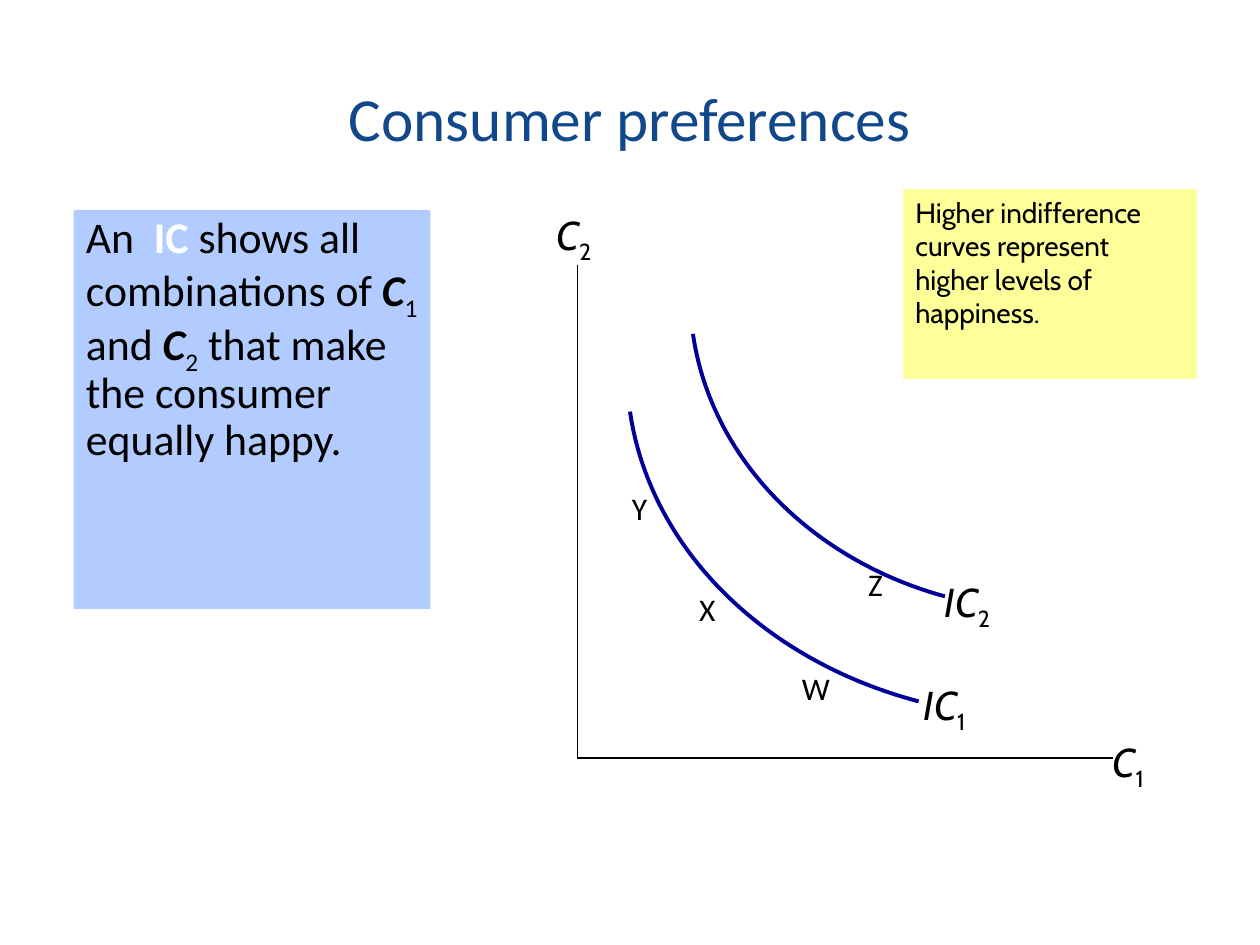
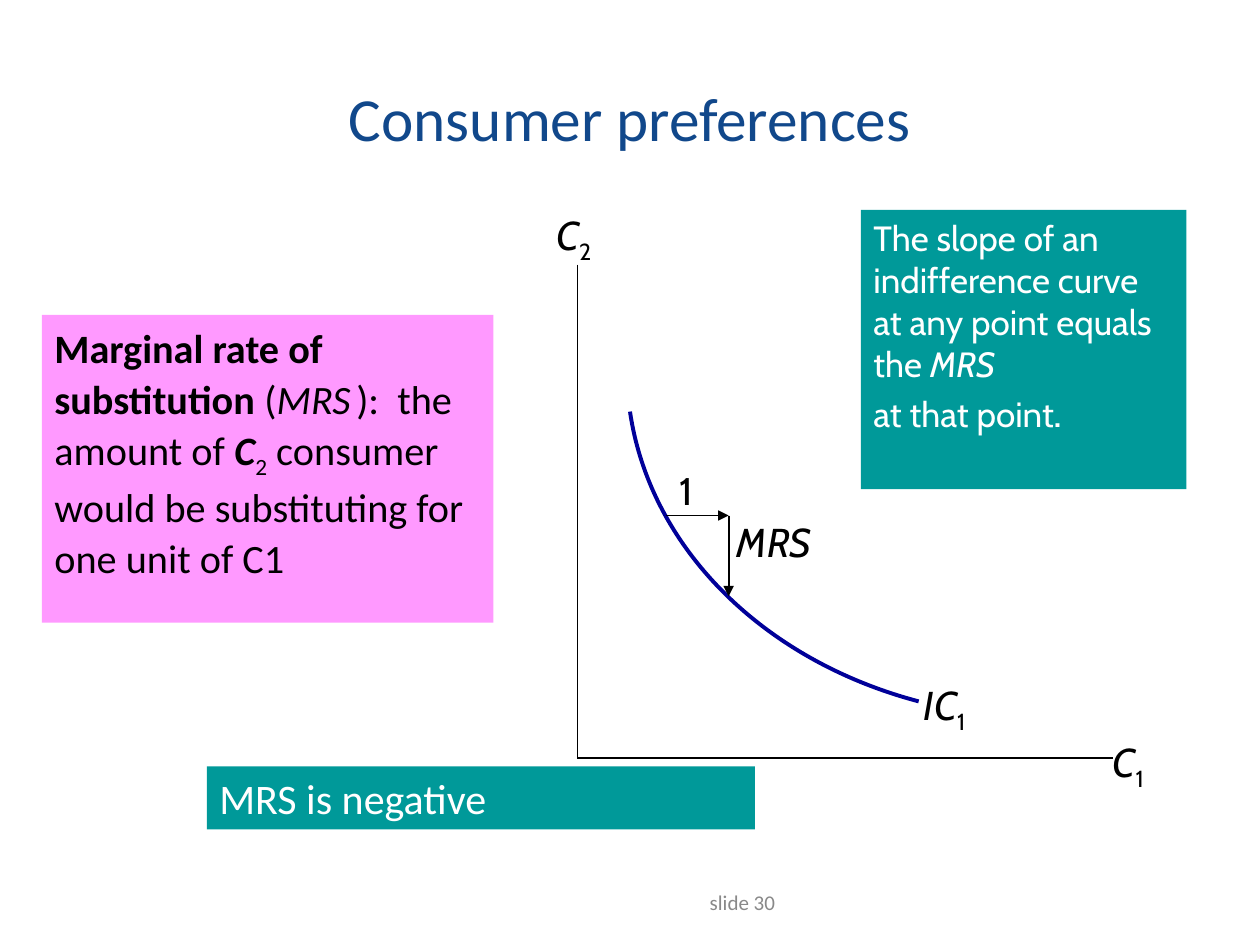
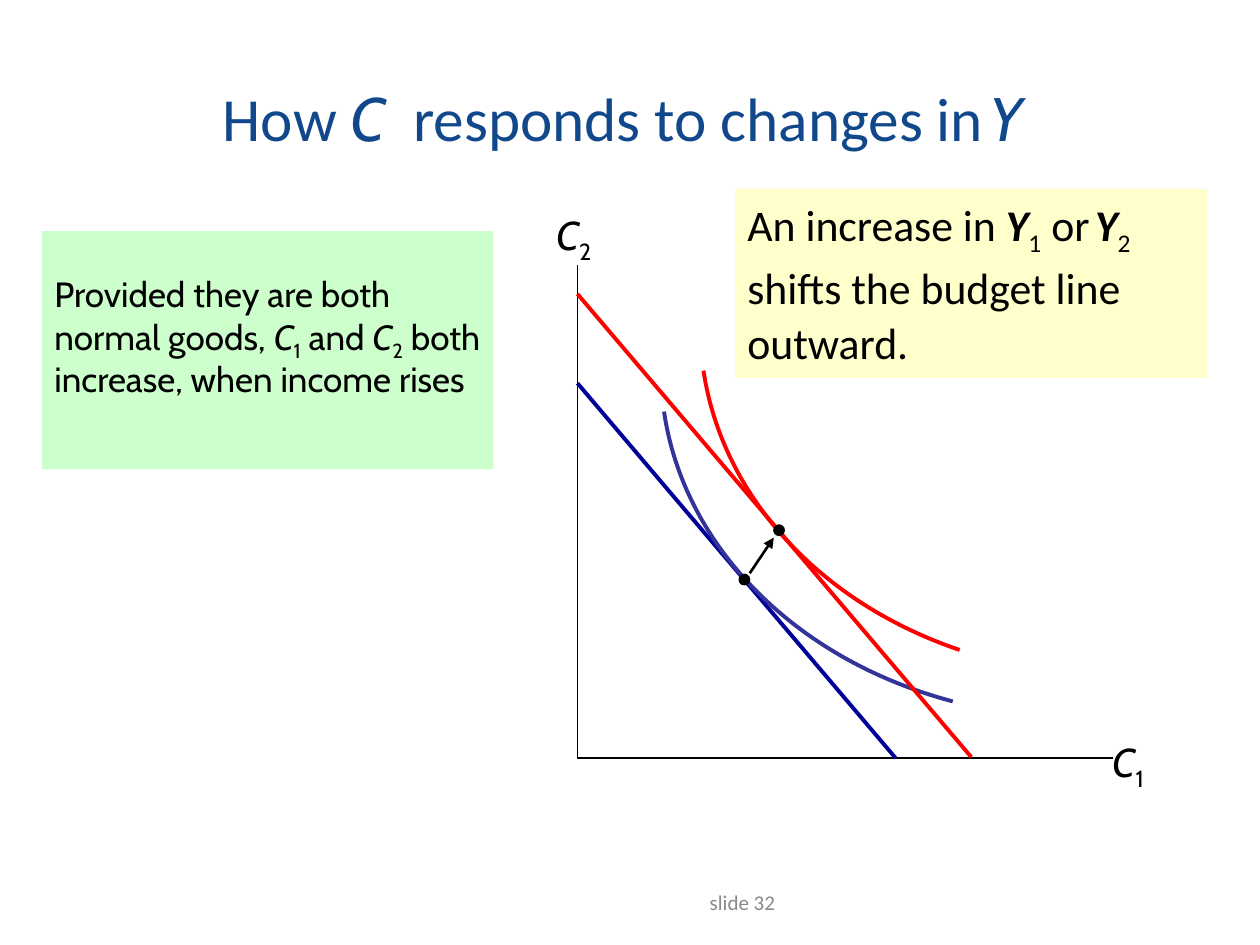
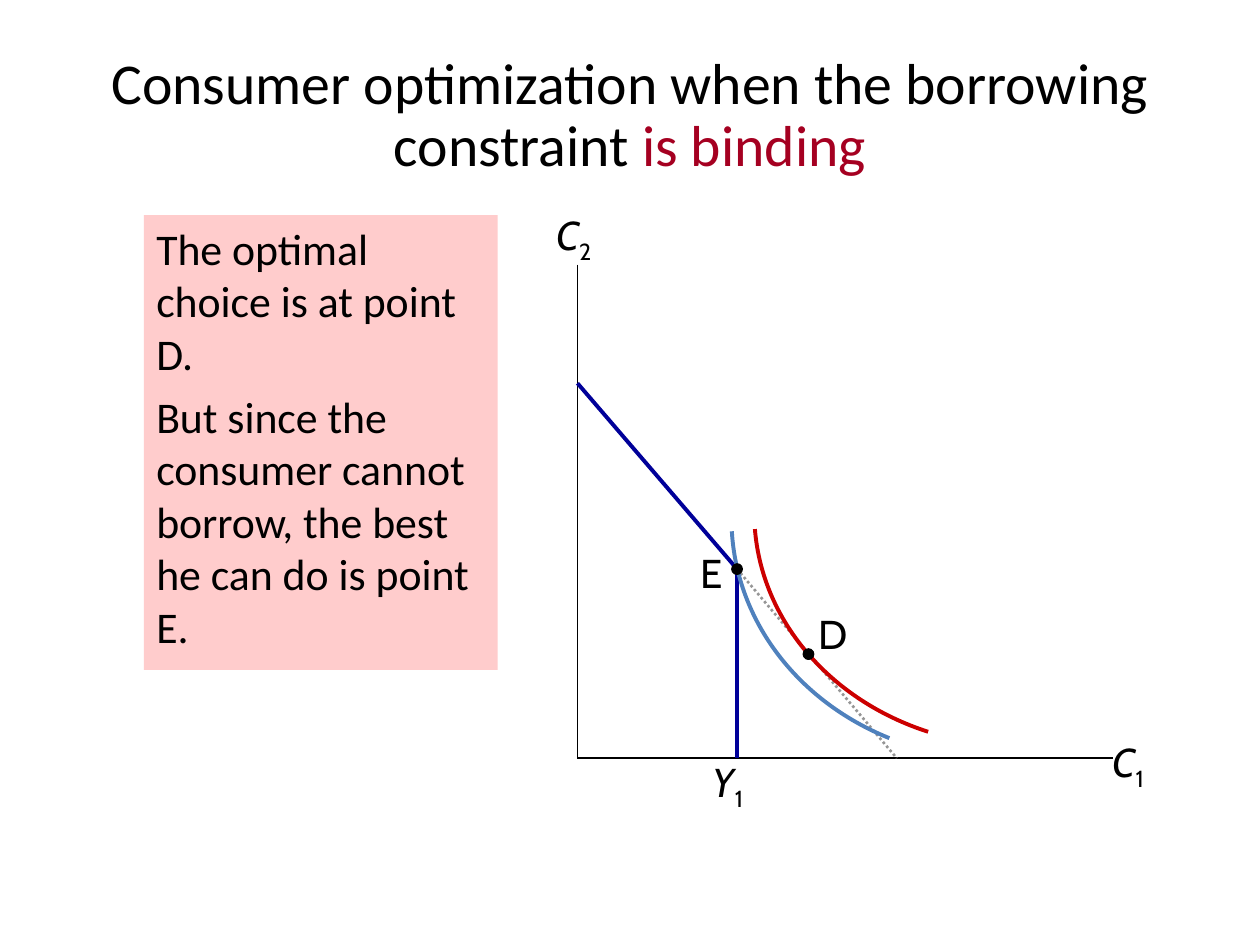
"""Build four slides on consumer preferences and intertemporal choice."""
from dataclasses import dataclass

from lxml import etree
from pptx import Presentation
from pptx import util as u
from pptx.dml.color import RGBColor
from pptx.enum import dml, shapes, text
from pptx.oxml.ns import qn

COLORS = {
    "black": "000000", "white": "FFFFFF", "title": "11488B", "muted": "898989",
    "navy": "000099", "indigo": "333399", "red": "FF0000", "crimson": "CC0000",
    "steel": "4F81BD", "gray": "969696", "accent": "A50021",
    "sky": "B3CCFF", "yellow": "FFFF99", "pink": "FF99FF", "teal": "009999",
    "cream": "FFFFCC", "mint": "CCFFCC", "rose": "FFCCCC",
}
COLUMNS, ROWS = 120, 90
ORIGIN = (55, 72.2)
BUDGET_TOP = (55, 36.5)
TEXT_PAD = (0.1, 0.05, 0.1, 0.05)
AXIS_PAD = (0, 0, 0, 0.05)
NO_PAD = (0, 0, 0, 0)
CURVE_1 = [(87.5, 66.8), (72.7, 62.9), (61.9, 52.2), (60, 39.2), (99.5, 35)]
CURVE_2 = [(90, 56.8), (77.2, 53.3), (67.7, 43.6), (66, 31.8), (100.6, 28)]
RICHER_CURVE = [(91.4, 61.9), (78.1, 57.4), (68.8, 47.3), (67, 35.3), (106.4, 31.1)]
DESIRED_CURVE = [(88.4, 69.7), (79.1, 66.7), (72.6, 59.2), (71.9, 50.4), (97.3, 48.6)]
FEASIBLE_CURVE = [(84.7, 70.3), (76, 66.8), (70.2, 59.2), (69.7, 50.6), (95.3, 49.8)]


@dataclass
class Span:
    """A stretch of text and what sets it apart from its surroundings."""
    words: str
    bold: bool = False
    italic: bool = False
    sub: bool = False
    size: float = 0
    face: str = ""
    color: str = ""


def variable(letter, index, bold=False):
    """Return the spans of an italic letter with a subscript."""
    return [Span(letter, bold=bold, italic=True), Span(index, sub=True)]


class Board:
    """Hold the deck, its style and the current slide."""

    def __init__(self):
        """Start an empty 10 by 7.5 inch deck."""
        self.deck = Presentation()
        self.deck.slide_width, self.deck.slide_height = u.Inches(10), u.Inches(7.5)
        self.page = None

    def place(self, column, row):
        """Turn grid columns and rows into slide lengths."""
        return (int(column * self.deck.slide_width / COLUMNS),
                int(row * self.deck.slide_height / ROWS))

    def frame(self, area):
        """Turn a grid area into left, top, width and height."""
        return self.place(*area[:2]) + self.place(*area[2:])

    def color(self, name):
        """Look up a colour by name."""
        return RGBColor.from_string(COLORS[name])

    def fill_text(self, box, paras, size, face="Calibri", color="black", align="LEFT",
                  anchor="TOP", spacing=1.0, pad=TEXT_PAD):
        """Fill a box with paragraphs, each a list of spans."""
        body = box.text_frame
        body.word_wrap, body.auto_size = True, text.MSO_AUTO_SIZE.NONE
        body.vertical_anchor = text.MSO_ANCHOR[anchor]
        body.margin_left, body.margin_top, body.margin_right, body.margin_bottom = map(
            u.Inches, pad)
        for number, spans in enumerate(paras):
            para = body.add_paragraph() if number else body.paragraphs[0]
            para.alignment = text.PP_ALIGN[align]
            para.line_spacing, para.space_before = spacing, u.Pt(6.2)
            for span in spans:
                if span.words == "\n":
                    para.add_line_break()
                    etree.SubElement(para._p[-1], qn("a:rPr"), sz=str(size * 100))
                    continue
                run = para.add_run()
                run.text = span.words
                font = run.font
                font.size, font.name = u.Pt(span.size or size), span.face or face
                font.bold, font.italic = span.bold, span.italic
                font.color.rgb = self.color(span.color or color)
                if span.sub:
                    font._element.set("baseline", "-25000")

    def start(self, spans, size=35, color="title", spacing=1.0):
        """Add a slide with a title."""
        self.page = self.deck.slides.add_slide(self.deck.slide_layouts[5])
        title = self.page.shapes.title
        title.left, title.top, title.width, title.height = self.frame((6, 3.6, 108, 15))
        self.fill_text(title, [spans], size, color=color, align="CENTER", anchor="MIDDLE",
                       spacing=spacing)

    def panel(self, area, fill, paras, size, **style):
        """Add a filled rectangle with text."""
        box = self.page.shapes.add_shape(shapes.MSO_SHAPE.RECTANGLE, *self.frame(area))
        box.shadow.inherit = False
        box.fill.solid()
        box.fill.fore_color.rgb = self.color(fill)
        box.line.fill.background()
        self.fill_text(box, paras, size, **style)

    def label(self, area, spans, size=23, face="Cabin", **style):
        """Add a text box of one paragraph."""
        box = self.page.shapes.add_textbox(*self.frame(area))
        self.fill_text(box, [spans], size, face=face, **style)

    def symbol(self, column, row, letter, index, width=5):
        """Label an axis or a curve with a variable."""
        self.label((column, row, width, 5.9), variable(letter, index), pad=AXIS_PAD)

    def line(self, start, end, color="black", width=1.0, arrow=False, dotted=False):
        """Draw a straight line, with an arrowhead at its end if asked."""
        link = self.page.shapes.add_connector(
            shapes.MSO_CONNECTOR.STRAIGHT, *self.place(*start), *self.place(*end))
        link.line.color.rgb, link.line.width = self.color(color), u.Pt(width)
        if dotted:
            link.line.dash_style = dml.MSO_LINE.ROUND_DOT
        if arrow:
            outline = link._element.spPr.find(qn("a:ln"))
            etree.SubElement(outline, qn("a:tailEnd"), type="triangle")
        etree.SubElement(link._element.spPr, qn("a:effectLst"))

    def curve(self, points, color, shift=0):
        """Draw a Bézier curve; the fifth point only widens its frame."""
        start, *rest = [self.place(column + shift, row) for column, row in points]
        builder = self.page.shapes.build_freeform(*start)
        builder.add_line_segments(rest, close=False)
        arc = builder.convert_to_shape()
        arc.shadow.inherit = False
        arc.fill.background()
        arc.line.color.rgb, arc.line.width = self.color(color), u.Pt(2.25)
        outline = arc._element.find(".//" + qn("a:path"))
        *bends, corner = outline.findall(qn("a:lnTo"))
        bezier = etree.SubElement(outline, qn("a:cubicBezTo"))
        for bend in bends:
            bezier.append(bend[0])
            outline.remove(bend)
        outline.remove(corner)

    def dot(self, column, row):
        """Mark a point by its centre."""
        mark = self.page.shapes.add_shape(
            shapes.MSO_SHAPE.OVAL, *self.frame((column - 0.5, row - 0.5, 1, 1)))
        mark.shadow.inherit = False
        mark.fill.solid()
        mark.fill.fore_color.rgb = mark.line.color.rgb = self.color("black")
        mark.line.width = u.Pt(0.75)

    def axes(self):
        """Draw the axes of both periods' consumption."""
        self.line((55, 25.2), ORIGIN)
        self.line(ORIGIN, (106, 72.2))
        self.symbol(106, 70.2, "C", "1")
        self.symbol(53, 20, "C", "2")

    def first_curve(self):
        """Draw the lower indifference curve with its label."""
        self.curve(CURVE_1, "navy")
        self.symbol(88, 64.8, "IC", "1", width=7)

    def footer(self, number):
        """Show the slide number."""
        self.label((47, 82.8, 28, 6.2), [Span(f"slide {number}")], size=12, face="Calibri",
                   color="muted", align="RIGHT", anchor="MIDDLE")


def indifference_curves(board):
    """Compare a lower and a higher indifference curve."""
    board.start([Span("Consumer preferences")])
    board.panel((7, 20, 34, 38), "sky", [[
        Span("An "), Span(" IC ", bold=True, color="white"),
        Span("shows all combinations of "), *variable("C", "1", bold=True),
        Span(" and "), *variable("C", "2", bold=True),
        Span(" that make the consumer equally happy.")]], 25, spacing=0.9)
    board.axes()
    board.first_curve()
    board.curve(CURVE_2, "navy")
    board.symbol(90, 55, "IC", "2", width=7)
    board.panel((86, 18, 28, 18.1), "yellow", [[
        Span("Higher indifference curves represent higher levels of happiness.")]],
        16, face="Cabin")
    for letter, column, row in [("Y", 59, 46), ("Z", 81.5, 53.2),
                                ("X", 65.4, 55.6), ("W", 75.2, 63.1)]:
        board.label((column, row, 6, 4.8), [Span(letter)], size=18, face="Calibri")


def marginal_rate(board):
    """Show the marginal rate of substitution as a slope."""
    board.start([Span("Consumer preferences")])
    board.footer(30)
    board.panel((4, 30, 43, 29.3), "pink", [[
        Span("Marginal rate of substitution", bold=True), Span(" ("),
        Span("MRS", italic=True), Span(" ", italic=True, size=14),
        Span("):  the amount of "), *variable("C", "2", bold=True),
        Span(" consumer would be substituting for one unit of C1")]], 23, spacing=1.05)
    board.axes()
    board.first_curve()
    board.panel((82, 20, 31, 26.6), "teal", [[
        Span("The slope of an indifference curve at any point equals the "),
        Span("MRS ", italic=True), Span("\n"), Span("at that point"),
        Span(".", size=25)]], 20, face="Cabin", color="white")
    step = (69.4, 49.1)
    board.line((63.4, 49.1), step, arrow=True)
    board.label((63.5, 43.9, 4.1, 5.6), [Span("1")], size=22)
    board.label((69, 48.7, 14, 5.9), [Span("MRS", italic=True)])
    board.line(step, (69.4, 56.8), arrow=True)
    board.panel((19.7, 73, 52.2, 6), "teal", [[Span("MRS is negative")]], 24, color="white")


def income_change(board):
    """Show how higher income moves the chosen point."""
    board.start([Span("How "), Span("C", italic=True, face="Cabin"),
                 Span("  responds to changes in"), Span(" ", size=15),
                 Span("Y ", italic=True, face="Cabin")])
    board.footer(32)
    board.panel((70, 18, 45, 18), "cream", [[
        Span("An increase in "), *variable("Y", "1", bold=True), Span(" or"),
        Span(" ", size=14), *variable("Y", "2 ", bold=True), Span("\n"),
        Span("shifts the budget line outward.")]], 25, spacing=1.05)
    board.axes()
    board.line(BUDGET_TOP, (85.3, 72.2), "navy", 2.25)
    board.curve(CURVE_1, "indigo", shift=3.24)
    board.dot(70.9, 55.2)
    board.line((55, 28), (92.5, 72.1), "red", 2.25)
    board.curve(RICHER_CURVE, "red")
    board.dot(74.2, 50.5)
    board.line((71.4, 54.6), (73.7, 51.2), width=1.5, arrow=True)
    board.panel((4, 22, 43, 22.7), "mint", [[
        Span("Provided they are both normal goods, "), *variable("C", "1"),
        Span(" and "), *variable("C", "2"),
        Span(" both increase, when income rises")]],
        20, face="Cabin", spacing=0.95, pad=(0.1, 0.35, 0.1, 0.05))


def borrowing_constraint(board):
    """Show the best choice under a binding borrowing constraint."""
    board.start([Span("Consumer optimization when the borrowing constraint "),
                 Span("is binding", color="accent")], size=33, color="black", spacing=0.9)
    board.panel((13.7, 20.5, 33.7, 43.3), "rose", [
        [Span("The optimal choice is at point D.")],
        [Span("But since the consumer cannot borrow, the best he can do is point E.")]], 25)
    board.axes()
    kink = (70.2, 54.2)
    board.line(BUDGET_TOP, kink, "navy", 2.25)
    board.symbol(67.9, 72.1, "Y", "1")
    board.line(kink, (85.4, 72.2), "gray", 1.5, dotted=True)
    board.line(kink, (70.2, 72.2), "navy", 2.25)
    board.curve(DESIRED_CURVE, "crimson")
    board.dot(77, 62.3)
    board.curve(FEASIBLE_CURVE, "steel")
    board.dot(*kink)
    for letter, column, row in [("D", 78, 58), ("E", 66.7, 52.2)]:
        board.label((column, row, 2.9, 4.6), [Span(letter)], pad=NO_PAD)


def main():
    """Build the slides and save the deck."""
    board = Board()
    for build in (indifference_curves, marginal_rate, income_change, borrowing_constraint):
        build(board)
    board.deck.save("out.pptx")


if __name__ == "__main__":
    main()
